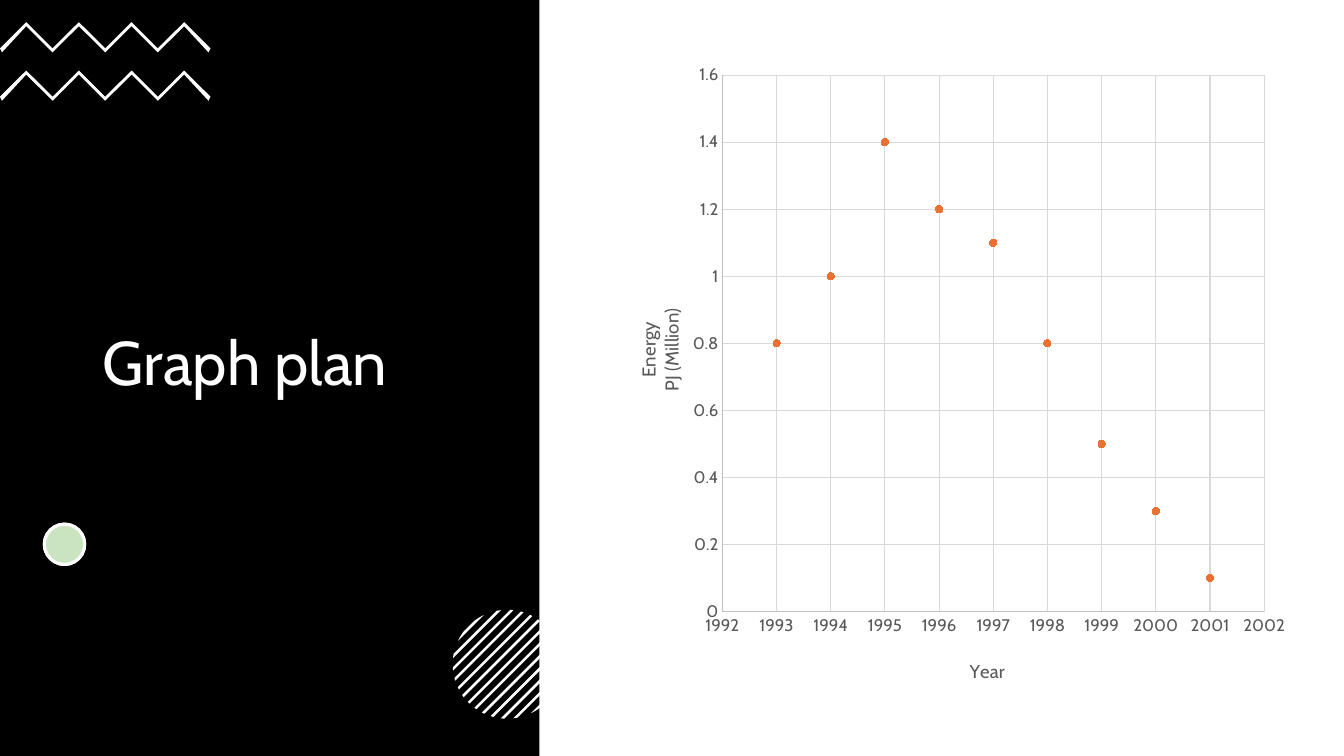
"""Build the "Graph plan" slide: a black title panel with ornaments and a scatter chart."""
import math
from dataclasses import dataclass

from lxml import etree
from pptx import Presentation
from pptx import util as u
from pptx.chart import data as chart_data
from pptx.dml.color import RGBColor
from pptx.enum import chart as charts, shapes, text
from pptx.oxml.ns import qn

BLACK = RGBColor(0x00, 0x00, 0x00)
WHITE = RGBColor(0xFF, 0xFF, 0xFF)
GREEN = RGBColor(0x4E, 0xA7, 0x2E)
ORANGE = RGBColor(0xE9, 0x71, 0x32)
LABEL_GRAY = RGBColor(0x59, 0x59, 0x59)
AXIS_GRAY = RGBColor(0xBF, 0xBF, 0xBF)
GRID_GRAY = RGBColor(0xD9, 0xD9, 0xD9)
FONT = "Cabin"
ENERGY_BY_YEAR = {1993: 0.8, 1994: 1, 1995: 1.4, 1996: 1.2, 1997: 1.1,
                  1998: 0.8, 1999: 0.5, 2000: 0.3, 2001: 0.1}

Point = tuple[float, float]


@dataclass(frozen=True)
class Box:
    left: float
    top: float
    width: float
    height: float

    def lengths(self) -> list[u.Length]:
        return [u.Inches(value) for value in (self.left, self.top, self.width, self.height)]


@dataclass(frozen=True)
class AxisStyle:
    title_lines: tuple[str, ...]
    title_at: dict[str, float]
    minimum: float
    maximum: float
    unit: float


@dataclass(frozen=True)
class StripedDisc:
    center: Point
    radius: float
    stripes: int
    pitch: float
    thickness: float


YEAR_AXIS = AxisStyle(("Year",), {"x": 0.52, "y": 0.93}, 1992, 2002, 1)
ENERGY_AXIS = AxisStyle(("Energy", "PJ (Million)"), {"x": 0.04, "y": 0.39}, 0, 1.6, 0.2)
DISC = StripedDisc((5.03, 6.59), 0.54, 13, 0.087, 0.025)


def add_filled(slide, kind: shapes.MSO_SHAPE, box: Box, fill: RGBColor):
    shape = slide.shapes.add_shape(kind, *box.lengths())
    shape.shadow.inherit = False
    shape.fill.solid()
    shape.fill.fore_color.rgb = fill
    shape.line.fill.background()
    return shape


def add_polygon(group, points: list[Point]) -> None:
    start, *rest = [(u.Inches(x), u.Inches(y)) for x, y in points]
    builder = group.shapes.build_freeform(*start)
    builder.add_line_segments(rest, close=True)
    shape = builder.convert_to_shape()
    shape.shadow.inherit = False
    shape.fill.solid()
    shape.fill.fore_color.rgb = WHITE
    shape.line.fill.background()


def zigzag_points(top: float) -> list[Point]:
    step, rise, thickness, inset, segments = 0.261, 0.26, 0.04, 0.02, 8
    upper = [(index * step, top + rise * (index % 2 == 0)) for index in range(segments + 1)]
    lower = [(x, y + thickness) for x, y in upper[-2:0:-1]]
    right = upper[-1][0]
    end_y = top + rise + 2 * inset
    return upper + [(right - inset, end_y)] + lower + [(inset, end_y)]


def stripe_points(disc: StripedDisc, offset: float) -> list[Point]:
    steps = 6
    near, far = (math.acos(max(-1, min(1, (offset + side * disc.thickness / 2) / disc.radius)))
                 for side in (-1, 1))
    arc = [near + (far - near) * index / steps for index in range(steps + 1)]
    angles = arc + [-angle for angle in reversed(arc)]
    return [(disc.center[0] + disc.radius * math.cos(math.pi / 4 + angle),
             disc.center[1] + disc.radius * math.sin(math.pi / 4 + angle)) for angle in angles]


def add_ornaments(slide) -> None:
    zigzags = slide.shapes.add_group_shape()
    for top in (0.22, 0.7):
        add_polygon(zigzags, zigzag_points(top))
    for fill in (WHITE, GREEN):
        dot = add_filled(slide, shapes.MSO_SHAPE.OVAL, Box(0.44, 5.2, 0.4, 0.4), fill)
        dot.line.color.rgb = WHITE
        dot.line.width = u.Pt(2.25)
    tint = dot.fill._xPr.find(qn("a:solidFill"))[0]
    etree.SubElement(tint, qn("a:alpha"), val="30000")
    striped = slide.shapes.add_group_shape()
    for index in range(DISC.stripes):
        offset = (index - DISC.stripes // 2) * DISC.pitch
        add_polygon(striped, stripe_points(DISC, offset))


def add_title(slide) -> None:
    title = slide.shapes.title
    title.left, title.top, title.width, title.height = Box(0.92, 1.31, 3.5, 4.63).lengths()
    frame = title.text_frame
    frame.word_wrap = True
    frame.auto_size = text.MSO_AUTO_SIZE.NONE
    frame.vertical_anchor = text.MSO_ANCHOR.MIDDLE
    paragraph = frame.paragraphs[0]
    paragraph.alignment = text.PP_ALIGN.LEFT
    paragraph.line_spacing = 0.9
    run = paragraph.add_run()
    run.text = "Graph plan"
    style_font(run.font, 44, WHITE)


def style_font(font, size: float, color: RGBColor) -> None:
    font.name = FONT
    font.size = u.Pt(size)
    font.bold = False
    font.color.rgb = color


def set_layout(element, position: int, values: dict[str, float], inner: bool = False) -> None:
    for old in element.findall(qn("c:layout")):
        element.remove(old)
    layout = etree.Element(qn("c:layout"))
    manual = etree.SubElement(layout, qn("c:manualLayout"))
    if inner:
        etree.SubElement(manual, qn("c:layoutTarget"), val="inner")
    for name in ("x", "y"):
        etree.SubElement(manual, qn(f"c:{name}Mode"), val="edge")
    for name, value in values.items():
        etree.SubElement(manual, qn(f"c:{name}"), val=str(value))
    element.insert(position, layout)


def style_axis(axis, style: AxisStyle) -> None:
    axis.minimum_scale, axis.maximum_scale = style.minimum, style.maximum
    axis.major_unit = style.unit
    axis.major_tick_mark = axis.minor_tick_mark = charts.XL_TICK_MARK.NONE
    axis.has_major_gridlines = True
    for line, color in ((axis.format.line, AXIS_GRAY),
                        (axis.major_gridlines.format.line, GRID_GRAY)):
        line.color.rgb = color
        line.width = u.Pt(0.75)
    style_font(axis.tick_labels.font, 12, LABEL_GRAY)
    axis.tick_labels.number_format = "General"
    axis.tick_labels.number_format_is_linked = False
    frame = axis.axis_title.text_frame
    for index, words in enumerate(style.title_lines):
        paragraph = frame.add_paragraph() if index else frame.paragraphs[0]
        run = paragraph.add_run()
        run.text = words
        style_font(run.font, 13.3, LABEL_GRAY)
    set_layout(axis.axis_title._element, 1, style.title_at)


def add_energy_chart(slide) -> None:
    data = chart_data.XyChartData()
    points = data.add_series("Series 1")
    for year, energy in ENERGY_BY_YEAR.items():
        points.add_data_point(year, energy)
    chart = slide.shapes.add_chart(charts.XL_CHART_TYPE.XY_SCATTER,
                                   *Box(6, 0.52, 6.89, 6.43).lengths(), data).chart
    chart.has_title = chart.has_legend = False
    style_font(chart.font, 10, BLACK)
    chart.plots[0].vary_by_categories = False
    series = chart.plots[0].series[0]
    series.smooth = False
    series.format.line.fill.background()
    series.marker.style = charts.XL_MARKER_STYLE.CIRCLE
    series.marker.size = 5
    series.marker.format.fill.solid()
    series.marker.format.fill.fore_color.rgb = ORANGE
    series.marker.format.line.color.rgb = ORANGE
    style_axis(chart.category_axis, YEAR_AXIS)
    style_axis(chart.value_axis, ENERGY_AXIS)
    set_layout(chart._chartSpace.chart.plotArea, 0,
               {"x": 0.169, "y": 0.035, "w": 0.78, "h": 0.828}, inner=True)


def main() -> None:
    presentation = Presentation()
    presentation.slide_width, presentation.slide_height = u.Inches(13.33), u.Inches(7.5)
    slide = presentation.slides.add_slide(presentation.slide_layouts[5])
    panel = add_filled(slide, shapes.MSO_SHAPE.RECTANGLE, Box(0, 0, 5.35, 7.5), BLACK)
    slide.shapes.title._element.addprevious(panel._element)
    add_title(slide)
    add_ornaments(slide)
    add_energy_chart(slide)
    presentation.save("out.pptx")


if __name__ == "__main__":
    main()
